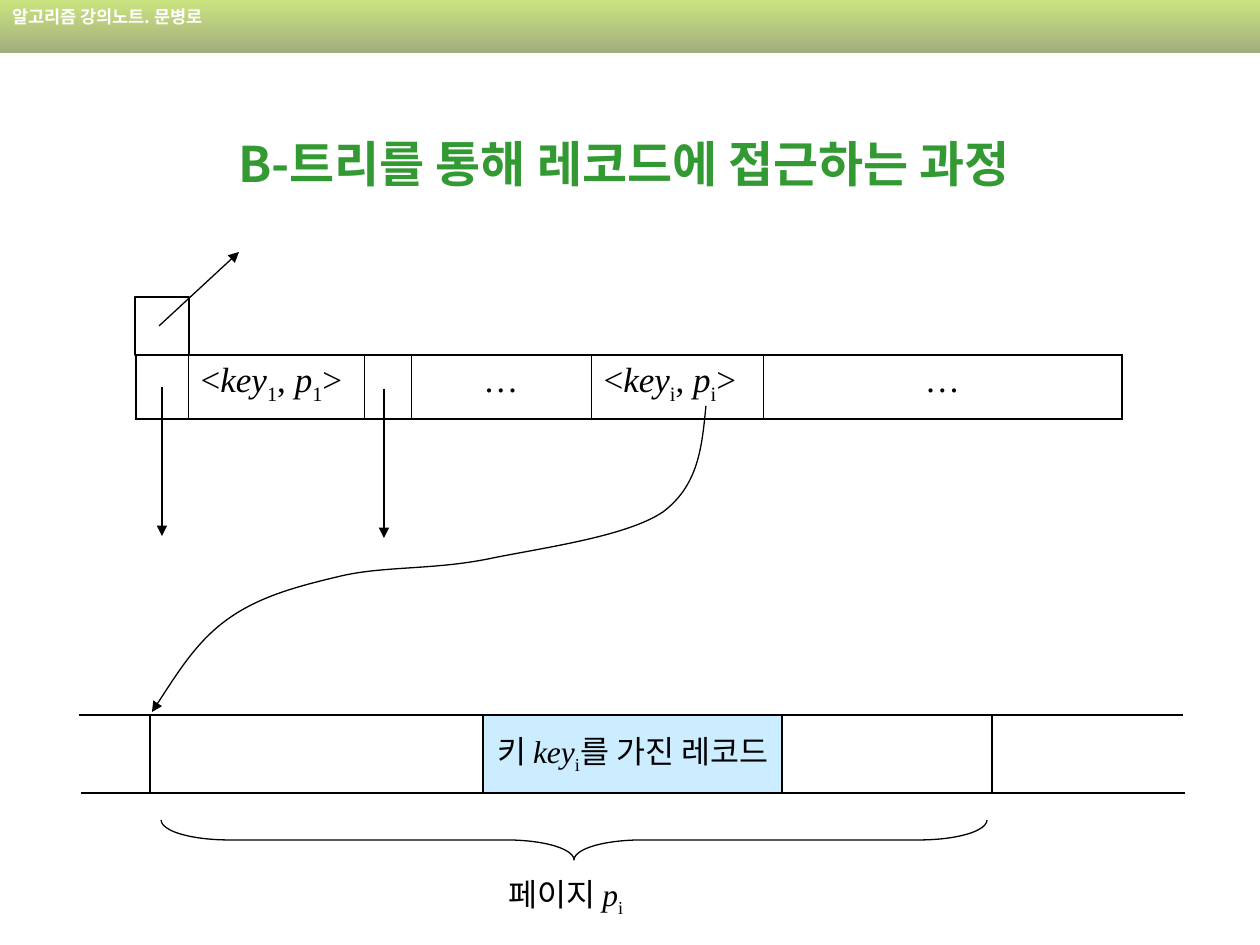
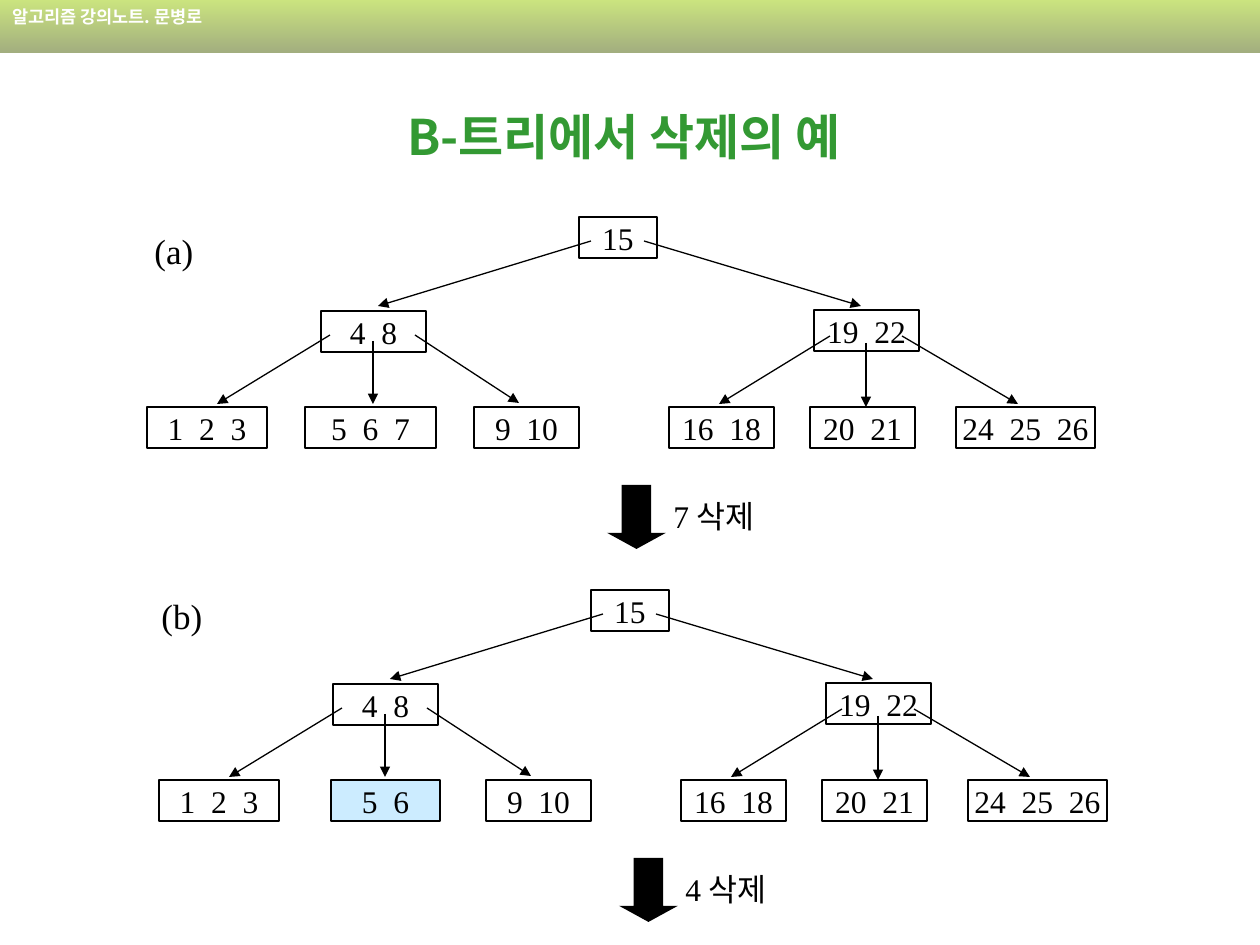
from dataclasses import dataclass

from lxml.etree import SubElement
from pptx import Presentation
from pptx.dml.color import RGBColor
from pptx.enum.shapes import MSO_CONNECTOR, MSO_SHAPE as Preset
from pptx.enum.text import MSO_ANCHOR as Anchor, MSO_AUTO_SIZE as AutoSize, PP_ALIGN as Align
from pptx.oxml.ns import qn
from pptx.util import Pt

SCALE = 914400 / 126  # EMU per px


@dataclass(frozen=True)
class Theme:
    ink: str = "000000"
    title: str = "339933"
    band_text: str = "FFFFFF"
    band_top: str = "99CC00"
    band_bottom: str = "475E00"
    highlight: str = "CCECFF"
    korean: str = "Noto Sans CJK KR"
    latin: str = "Times New Roman"
    band_size: int = 10
    body_size: int = 18
    label_size: int = 20
    title_size: int = 28
    line: float = 0.75
    outer_border: float = 1.08
    inner_border: float = 0.45


THEME = Theme()

# ---- Content: runs are split by "|", "*" marks italic, "_" marks subscript ----
SLIDE_SIZE = (1260, 945)
BAND_TEXT = "알고리즘 강의노트. 문병로"

ACCESS_TITLE, ACCESS_TITLE_TOP = "B-트리를 통해 레코드에 접근하는 과정 ", 84
NODE_LEFT, NODE_TOP, NODE_HEIGHT = 136, 355, 64
NODE_CELLS = [  # width, text, alignment
    (52, "", Align.LEFT),
    (176, "<|*key|_1|, |*p|_1|>", Align.LEFT),
    (47, "", Align.LEFT),
    (180, "…", Align.CENTER),
    (172, "<|*key|_i|, |*p|_i|>", Align.LEFT),
    (359, "…", Align.CENTER),
]
PARENT_POINTER = (135, 297, 54, 58)
POINTERS = [(384, 389, 384, 538), (162, 387, 162, 536), (159, 326, 239, 252)]
PAGE_CURVE = [
    (706, 406),
    (702, 446), (699, 485), (663, 512),
    (626, 537), (541, 548), (488, 559),
    (433, 570), (384, 566), (341, 576),
    (299, 586), (260, 596), (228, 619),
    (197, 641), (175, 677), (152, 712),
]
DISK_LINES = [(79, 715, 1183, 715), (81, 793, 1185, 793)]
PAGE = (150, 715, 842, 78)
RECORD, RECORD_TEXT = (483, 715, 299, 78), "키 |*key|_i|를 가진 레코드"
BRACE = (161, 820, 826, 40)
BRACE_ADJUST = (1.69, 0.5)
PAGE_LABEL, PAGE_LABEL_TEXT = (496, 869, 149, 55), "페이지 |*p|_i"

DELETE_TITLE, DELETE_TITLE_TOP = "B-트리에서 삭제의 예 ", 57
KEY_HEIGHT, KEY_GAP = 41, "  "
TREE_NODES = [  # left, top, width, keys
    (579, 217, 78, [15]),
    (321, 311, 105, [4, 8]),
    (814, 310, 105, [19, 22]),
    (147, 407, 120, [1, 2, 3]),
    (474, 407, 105, [9, 10]),
    (669, 407, 105, [16, 18]),
    (810, 407, 105, [20, 21]),
    (956, 407, 139, [24, 25, 26]),
]
TREE_EDGES = [
    (591, 241, 378, 306), (644, 241, 861, 306),
    (330, 335, 217, 404), (373, 341, 373, 404), (415, 335, 519, 403),
    (830, 336, 719, 404), (866, 343, 866, 407), (902, 336, 1018, 404),
]
DELETE_ARROW, DELETE_ARROW_ADJUST = (607, 485, 59, 64), (0.5, 0.274)
DELETE_NOTE = (661, 491, 115, 50)
STAGES = [
    dict(label="(a)", label_at=(142, 223, 64, 55), offset=(0, 0), deleted="7 |삭제",
         changed=(305, 407, 131, [5, 6, 7]), changed_fill=None),
    dict(label="(b)", label_at=(149, 588, 66, 55), offset=(12, 373), deleted="4 |삭제",
         changed=(319, 407, 109, [5, 6]), changed_fill=THEME.highlight),
]


# ---- Helpers ----
def emu(*lengths):
    return [round(length * SCALE) for length in lengths]


def rgb(code):
    return RGBColor.from_string(code)


def write(frame, text, size, color=THEME.ink, bold=False, align=Align.LEFT):
    paragraph = frame.paragraphs[0]
    paragraph.alignment = align
    for part in text.split("|"):
        run = paragraph.add_run()
        run.text = part.lstrip("*_")
        font = run.font
        font.size, font.bold, font.italic = Pt(size), bold, part.startswith("*")
        font.color.rgb = rgb(color)
        font.name = THEME.korean if any("가" <= c <= "힣" for c in part) else THEME.latin
        props = font._element
        SubElement(props, qn("a:ea"), typeface=font.name)
        if part.startswith("_"):
            props.set("baseline", "-25000")
    return paragraph


def style(shape, fill=None, line=THEME.ink):
    shape.shadow.inherit = False
    if fill:
        shape.fill.solid()
        shape.fill.fore_color.rgb = rgb(fill)
    else:
        shape.fill.background()
    if line:
        shape.line.color.rgb = rgb(line)
        shape.line.width = Pt(THEME.line)
    else:
        shape.line.fill.background()
    return shape


def add_preset(slide, preset, box, adjust=(), **look):
    shape = slide.shapes.add_shape(preset, *emu(*box))
    for i, value in enumerate(adjust):
        shape.adjustments[i] = value
    return style(shape, **look)


def add_box(slide, box, text="", fill=None):
    shape = add_preset(slide, Preset.RECTANGLE, box, fill=fill)
    if text:
        frame = shape.text_frame
        frame.word_wrap, frame.vertical_anchor = False, Anchor.MIDDLE
        write(frame, text, THEME.body_size, align=Align.CENTER)


def add_label(slide, box, text, size=THEME.body_size):
    frame = slide.shapes.add_textbox(*emu(*box)).text_frame
    frame.word_wrap, frame.auto_size = False, AutoSize.SHAPE_TO_FIT_TEXT
    write(frame, text, size)


def add_arrowhead(shape):
    SubElement(shape.line._get_or_add_ln(), qn("a:tailEnd"), type="triangle")


def add_line(slide, ends, arrow=False):
    line = slide.shapes.add_connector(MSO_CONNECTOR.STRAIGHT, *emu(*ends))
    line.line.color.rgb = rgb(THEME.ink)
    line.line.width = Pt(THEME.line)
    if arrow:
        add_arrowhead(line)
    SubElement(line._element.spPr, qn("a:effectLst"))


def add_curve(slide, points):
    """Draw cubic segments: a start point, then two controls and an end for each."""
    builder = slide.shapes.build_freeform(*points[0], scale=SCALE)
    builder.add_line_segments(points[1:], close=False)
    curve = style(builder.convert_to_shape())
    outline = next(curve._element.iter(qn("a:pathLst")))[0]
    steps = outline.findall(qn("a:lnTo"))
    for start in range(0, len(steps), 3):
        bezier = SubElement(outline, qn("a:cubicBezTo"))
        for step in steps[start:start + 3]:
            bezier.append(step[0])
            outline.remove(step)
    add_arrowhead(curve)


def set_borders(cell, widths):
    props = cell._tc.get_or_add_tcPr()
    for i, (side, width) in enumerate(zip("LRTB", widths)):
        border = SubElement(props, qn(f"a:ln{side}"), w=str(Pt(width)))
        SubElement(SubElement(border, qn("a:solidFill")), qn("a:srgbClr"), val=THEME.ink)
        props.insert(i, border)


# ---- Shared parts ----
def new_slide(deck, title, title_top):
    slide = deck.slides.add_slide(deck.slide_layouts[6])
    band = add_preset(slide, Preset.RECTANGLE, (0, 0, SLIDE_SIZE[0], 53), line=None)
    band.fill.gradient()
    band.fill.gradient_angle = 270
    for stop, color in zip(band.fill.gradient_stops, (THEME.band_top, THEME.band_bottom)):
        stop.color.rgb = rgb(color)
    for color in band._element.spPr.find(qn("a:gradFill")).iter(qn("a:srgbClr")):
        SubElement(color, qn("a:alpha"), val="50000")
    band.text_frame.vertical_anchor = Anchor.TOP
    write(band.text_frame, BAND_TEXT, THEME.band_size, THEME.band_text, bold=True)

    heading = slide.shapes.add_textbox(*emu(94, title_top, 1071, 158)).text_frame
    heading.word_wrap, heading.vertical_anchor = True, Anchor.MIDDLE
    write(heading, title, THEME.title_size, THEME.title, bold=True, align=Align.CENTER)
    return slide


# ---- Record access ----
def add_node_table(slide):
    width = sum(cell[0] for cell in NODE_CELLS)
    table = slide.shapes.add_table(
        1, len(NODE_CELLS), *emu(NODE_LEFT, NODE_TOP, width, NODE_HEIGHT)).table
    table.first_row = table.horz_banding = False
    last = len(NODE_CELLS) - 1
    outer, inner = THEME.outer_border, THEME.inner_border
    for i, (cell_width, text, align) in enumerate(NODE_CELLS):
        table.columns[i].width = emu(cell_width)[0]
        cell = table.cell(0, i)
        cell.fill.background()
        set_borders(cell, (inner if i else outer, outer if i == last else inner, outer, outer))
        if text:
            write(cell.text_frame, text, THEME.label_size, align=align).space_before = Pt(5)


def build_access(deck):
    slide = new_slide(deck, ACCESS_TITLE, ACCESS_TITLE_TOP)
    add_node_table(slide)
    add_box(slide, PARENT_POINTER)
    for pointer in POINTERS:
        add_line(slide, pointer, arrow=True)
    for edge in DISK_LINES:
        add_line(slide, edge)
    add_box(slide, PAGE)
    add_label(slide, PAGE_LABEL, PAGE_LABEL_TEXT)
    add_box(slide, RECORD, RECORD_TEXT, THEME.highlight)
    add_curve(slide, PAGE_CURVE)
    # The brace is upright before its quarter turn about the centre
    left, top, span, depth = BRACE
    upright = (left + (span - depth) / 2, top - (span - depth) / 2, depth, span)
    add_preset(slide, Preset.RIGHT_BRACE, upright, BRACE_ADJUST).rotation = 90


# ---- Deletion example ----
def build_deletion(deck):
    slide = new_slide(deck, DELETE_TITLE, DELETE_TITLE_TOP)
    for stage in STAGES:
        dx, dy = stage["offset"]
        nodes = [(node, None) for node in TREE_NODES]
        nodes.append((stage["changed"], stage["changed_fill"]))
        for (left, top, width, keys), fill in nodes:
            box = (left + dx, top + dy, width, KEY_HEIGHT)
            add_box(slide, box, KEY_GAP.join(map(str, keys)), fill)
        for x1, y1, x2, y2 in TREE_EDGES:
            add_line(slide, (x1 + dx, y1 + dy, x2 + dx, y2 + dy), arrow=True)
        arrow, note = [(x + dx, y + dy, w, h) for x, y, w, h in (DELETE_ARROW, DELETE_NOTE)]
        add_preset(slide, Preset.DOWN_ARROW, arrow, DELETE_ARROW_ADJUST,
                   fill=THEME.ink, line=None)
        add_label(slide, note, stage["deleted"])
        add_label(slide, stage["label_at"], stage["label"], THEME.label_size)


def main():
    deck = Presentation()
    deck.slide_width, deck.slide_height = emu(*SLIDE_SIZE)
    build_access(deck)
    build_deletion(deck)
    deck.save("out.pptx")


if __name__ == "__main__":
    main()
